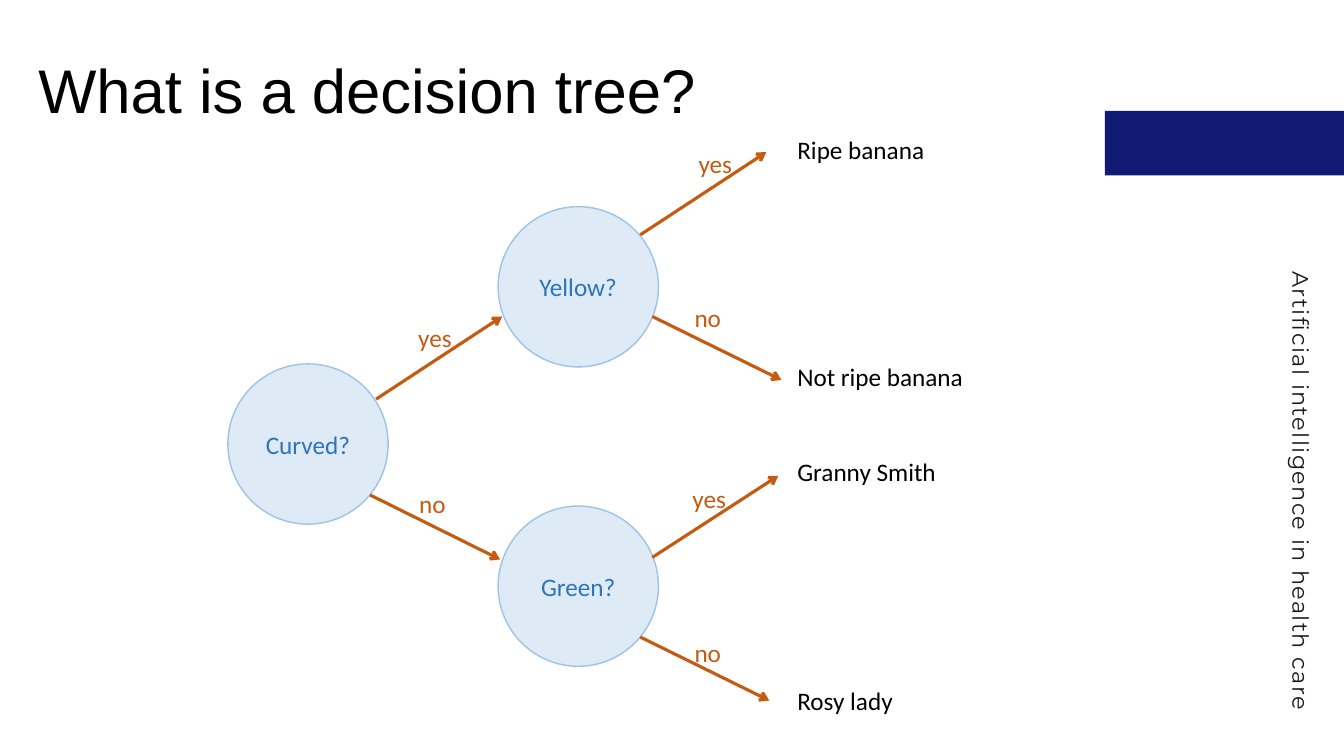
from lxml import etree
from pptx import Presentation
from pptx.dml.color import RGBColor
from pptx.enum.shapes import MSO_CONNECTOR, MSO_SHAPE
from pptx.enum.text import MSO_ANCHOR, PP_ALIGN
from pptx.oxml.ns import qn
from pptx.util import Inches, Pt

RECT, OVAL = MSO_SHAPE.RECTANGLE, MSO_SHAPE.OVAL
STRAIGHT = MSO_CONNECTOR.STRAIGHT
TOP, MIDDLE = MSO_ANCHOR.TOP, MSO_ANCHOR.MIDDLE
LEFT, CENTER, RIGHT = PP_ALIGN.LEFT, PP_ALIGN.CENTER, PP_ALIGN.RIGHT
NAVY, PALE, SKY, BLUE, ORANGE = "121B74", "DEEBF7", "9DC3E6", "2E75B6", "C55A11"
DIAMETER = 1.59
ANSWER_LEFT = 7.81


def rgb(value):
    return RGBColor.from_string(value)


def write(shape, text, size=18, font="Calibri", color="000000", align=LEFT,
          anchor=TOP, spacing=None, tracking=None):
    tf = shape.text_frame
    tf.word_wrap = True
    tf.vertical_anchor = anchor
    p = tf.paragraphs[0]
    p.alignment = align
    if spacing is not None:
        p.line_spacing = spacing
    r = p.add_run()
    r.text = text
    r.font.size = Pt(size)
    r.font.name = font
    r.font.color.rgb = rgb(color)
    if tracking:
        r._r.get_or_add_rPr().set("spc", str(tracking))


prs = Presentation()
prs.slide_width, prs.slide_height = Inches(13.33), Inches(7.5)
s = prs.slides.add_slide(prs.slide_layouts[5])

# Title
title = s.shapes.title
title.left, title.top = Inches(0.28), Inches(0.2)
title.width, title.height = Inches(8.83), Inches(1.45)
write(title, "What is a decision tree?", size=44, font="Arial", anchor=MIDDLE,
      spacing=0.9)

# Band at the right edge
band = s.shapes.add_shape(RECT, Inches(10.96), Inches(1.1), Inches(2.37), Inches(0.64))
band.shadow.inherit = False
band.fill.solid()
band.fill.fore_color.rgb = rgb(NAVY)
band.line.fill.background()

# Course name running down the side
side = s.shapes.add_textbox(Inches(10.65), Inches(4.53), Inches(4.63), Inches(0.39))
side.rotation = 90
tf = side.text_frame
tf.margin_left = tf.margin_right = tf.margin_top = tf.margin_bottom = 0
write(side, "Artificial intelligence in health care", size=16, font="Montserrat",
      color="191919", align=RIGHT, spacing=Pt(27.9), tracking=100)

# Question nodes
for text, x, y in [("Curved?", 2.26, 3.61), ("Yellow?", 4.94, 2.05), ("Green?", 4.94, 5.02)]:
    node = s.shapes.add_shape(OVAL, Inches(x), Inches(y), Inches(DIAMETER), Inches(DIAMETER))
    node.shadow.inherit = False
    node.fill.solid()
    node.fill.fore_color.rgb = rgb(PALE)
    node.line.color.rgb = rgb(SKY)
    node.line.width = Pt(1)
    write(node, text, color=BLUE, align=CENTER, anchor=MIDDLE)

# Branches: label, arrow start, arrow end, label corner
branches = [
    ("yes", (3.73, 3.96), (4.98, 3.14), (4.05, 3.15)),
    ("no", (3.67, 4.91), (4.96, 5.55), (4.06, 4.79)),
    ("yes", (6.35, 2.33), (7.6, 1.51), (6.83, 1.42)),
    ("no", (6.47, 3.14), (7.75, 3.77), (6.79, 2.95)),
    ("yes", (6.47, 5.53), (7.72, 4.72), (6.77, 4.75)),
    ("no", (6.35, 6.32), (7.63, 6.95), (6.79, 6.27)),
]
for text, start, end, corner in branches:
    arrow = s.shapes.add_connector(STRAIGHT, *map(Inches, start + end))
    arrow.line.color.rgb = rgb(ORANGE)
    arrow.line.width = Pt(2.25)
    etree.SubElement(arrow.line._get_or_add_ln(), qn("a:tailEnd"), type="arrow")
    etree.SubElement(arrow._element.spPr, qn("a:effectLst"))
    label = s.shapes.add_textbox(*map(Inches, corner), Inches(0.6), Inches(0.41))
    write(label, text, color=ORANGE)

# Answers
for text, y in [("Ripe banana", 1.28), ("Not ripe banana", 3.54),
                ("Granny Smith", 4.48), ("Rosy lady", 6.75)]:
    answer = s.shapes.add_textbox(Inches(ANSWER_LEFT), Inches(y), Inches(2.14), Inches(0.4))
    write(answer, text)

prs.save("out.pptx")
